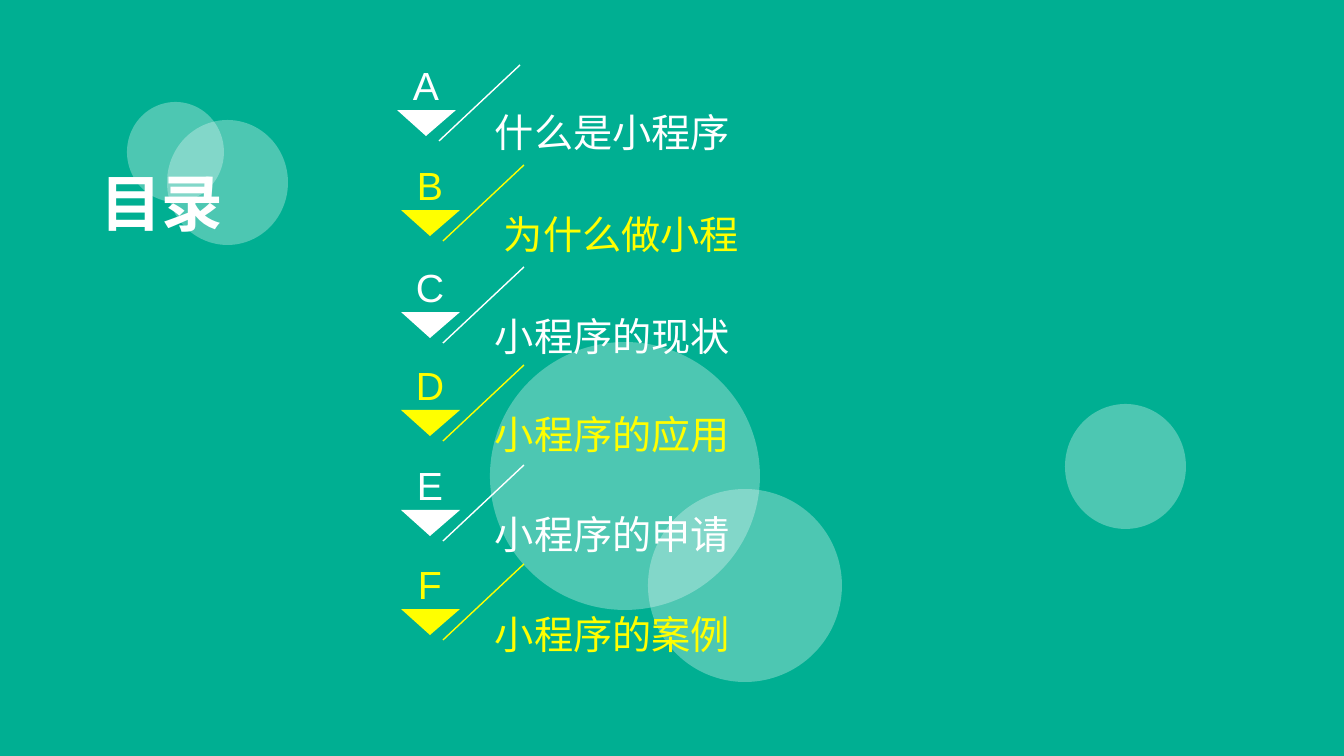
"""Build the table-of-contents slide with six lettered entries."""
from lxml.etree import SubElement
from pptx import Presentation
from pptx.dml.color import RGBColor
from pptx.enum.shapes import MSO_CONNECTOR, MSO_SHAPE
from pptx.enum.text import MSO_ANCHOR, MSO_AUTO_SIZE, PP_ALIGN
from pptx.oxml.ns import qn
from pptx.util import Pt

SCALE = 914400 / 100.8
COLORS = {"background": "00AF92", "white": "FFFFFF", "yellow": "FFFF00"}
CJK_FONT = "Noto Sans CJK SC"


def px(*lengths):
    return [round(length * SCALE) for length in lengths]


def write_text(shape, text, size, font, color, alignment, anchor):
    frame = shape.text_frame
    frame.word_wrap = True
    frame.vertical_anchor = anchor
    paragraph = frame.paragraphs[0]
    paragraph.alignment = alignment
    run = paragraph.add_run()
    run.text = text
    run.font.size = Pt(size)
    run.font.name = font
    run.font.color.rgb = RGBColor.from_string(COLORS[color])
    SubElement(run.font._element, qn("a:ea"), typeface=CJK_FONT)
    return frame, run


presentation = Presentation()
presentation.slide_width, presentation.slide_height = px(1344, 756)
slide = presentation.slides.add_slide(presentation.slide_layouts[5])
slide.background.fill.solid()
slide.background.fill.fore_color.rgb = RGBColor.from_string(COLORS["background"])

title = slide.shapes.title
title.left, title.top, title.width, title.height = px(90, 160, 171, 85)
title_frame, title_run = write_text(
    title, "目录", 44, CJK_FONT, "white", PP_ALIGN.LEFT, MSO_ANCHOR.TOP)
title_frame.auto_size = MSO_AUTO_SIZE.SHAPE_TO_FIT_TEXT
title_run.font.bold = True

bubbles = [
    (490, 342, 270, 268),
    (648, 489, 194, 193),
    (1065, 404, 121, 125),
    (127, 102, 97, 100),
    (167, 120, 121, 125),
]
for bubble in bubbles:
    circle = slide.shapes.add_shape(MSO_SHAPE.OVAL, *px(*bubble))
    circle.shadow.inherit = False
    circle.fill.solid()
    circle.fill.fore_color.rgb = RGBColor.from_string(COLORS["white"])
    fill_color = circle._element.spPr.find(qn("a:solidFill"))[0]
    SubElement(fill_color, qn("a:alpha"), val="30000")
    circle.line.fill.background()

entries = [
    ("A", "什么是小程序", 397, 65, 485, 97),
    ("B", "为什么做小程", 401, 165, 494, 199),
    ("C", "小程序的现状", 401, 267, 485, 301),
    ("D", "小程序的应用", 401, 365, 485, 399),
    ("E", "小程序的申请", 401, 465, 485, 499),
    ("F", "小程序的案例", 401, 564, 485, 599),
]
for index, (letter, label, left, top, label_left, label_top) in enumerate(entries):
    color = ("white", "yellow")[index % 2]
    rgb = RGBColor.from_string(COLORS[color])
    shapes = slide.shapes.add_group_shape().shapes

    slash = shapes.add_connector(
        MSO_CONNECTOR.STRAIGHT, *px(left + 123, top, left + 42, top + 76))
    slash.line.color.rgb = rgb
    slash.line.width = Pt(1)
    SubElement(slash._element.spPr, qn("a:effectLst"))

    builder = shapes.build_freeform(left, top + 45, scale=SCALE)
    builder.add_line_segments([(left + 59, top + 45), (left + 29, top + 71)])
    triangle = builder.convert_to_shape()
    triangle.shadow.inherit = False
    triangle.fill.solid()
    triangle.fill.fore_color.rgb = rgb
    triangle.line.fill.background()

    label_box = shapes.add_textbox(*px(label_left, label_top, 612, 69))
    write_text(label_box, label, 28, "Arial", color, PP_ALIGN.LEFT, MSO_ANCHOR.MIDDLE)

    letter_box = shapes.add_textbox(*px(left - 2, top - 17, 62, 60))
    frame, _ = write_text(
        letter_box, letter, 28, "Arial", color, PP_ALIGN.CENTER, MSO_ANCHOR.BOTTOM)
    frame.margin_left = frame.margin_right = 0
    frame.margin_top = frame.margin_bottom = 0

presentation.save("out.pptx")
